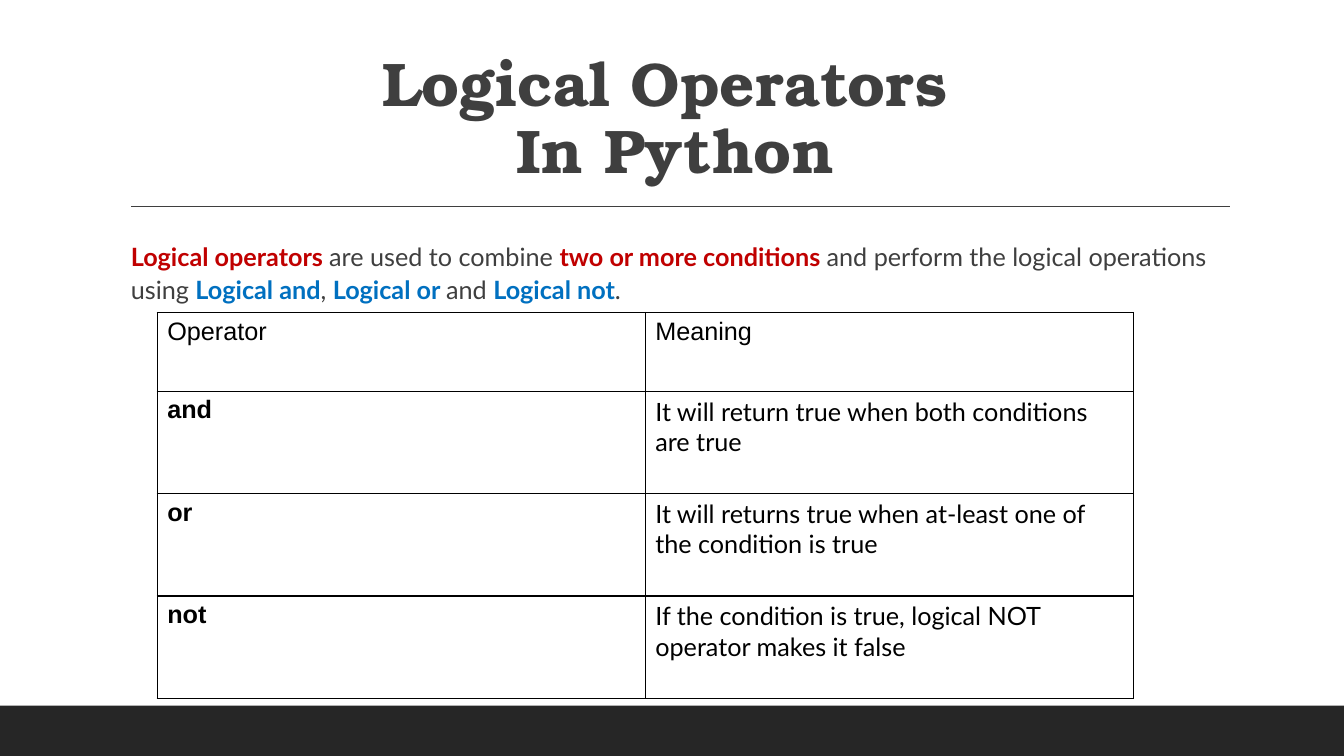
from lxml import etree
from pptx import Presentation, util as u
from pptx.dml.color import RGBColor
from pptx.enum import shapes, text
from pptx.oxml.ns import qn

Inches = u.Inches
DARK, GREY, RED, BLUE, BLACK = "262626", "3F3F3F", "C00000", "0070C0", "000000"
INTRO = [
    ("Logical operators ", RED),
    ("are used to combine ", GREY),
    ("two or more conditions ", RED),
    ("and perform the logical operations using ", GREY),
    ("Logical and", BLUE),
    (", ", GREY),
    ("Logical or ", BLUE),
    ("and ", GREY),
    ("Logical not", BLUE),
    (".", GREY),
]
OPERATORS = [
    ("Operator", "Meaning"),
    ("and", "It will return true when both conditions are true"),
    ("or", "It will returns true when at-least one of the condition is true"),
    ("not", "If the condition is true, logical NOT operator makes it false"),
]


def color(value):
    return RGBColor.from_string(value)


def write(paragraph, content, size=18, font="Lato", fill=BLACK, bold=False):
    """Append one formatted run to the paragraph."""
    run = paragraph.add_run()
    run.text = content
    run.font.size = u.Pt(size)
    run.font.name = font
    run.font.bold = bold
    run.font.color.rgb = color(fill)


def set_frame(frame, anchor):
    frame.word_wrap = True
    frame.auto_size = text.MSO_AUTO_SIZE.NONE
    frame.vertical_anchor = anchor
    frame.margin_left = frame.margin_right = Inches(0.1)
    frame.margin_top = frame.margin_bottom = Inches(0.05)


def add_footer_band(slide, left, top, width, height):
    band = slide.shapes.add_shape(
        shapes.MSO_SHAPE.RECTANGLE,
        Inches(left), Inches(top), Inches(width), Inches(height))
    band.shadow.inherit = False
    band.fill.solid()
    band.fill.fore_color.rgb = color(DARK)
    band.line.fill.background()


def add_title(slide, left, top, width, height):
    """Place the title and the rule that runs below it."""
    title = slide.shapes.title
    title.left, title.top = Inches(left), Inches(top)
    title.width, title.height = Inches(width), Inches(height)
    set_frame(title.text_frame, text.MSO_ANCHOR.BOTTOM)
    paragraph = title.text_frame.paragraphs[0]
    paragraph.alignment = text.PP_ALIGN.CENTER
    paragraph.line_spacing = 0.9
    style = dict(size=44, font="TeX Gyre Bonum", fill=GREY, bold=True)
    write(paragraph, "Logical Operators ", **style)
    paragraph.add_line_break()
    write(paragraph, "In Python", **style)

    rule_y = Inches(top + height + 0.15)
    rule = slide.shapes.add_connector(
        shapes.MSO_CONNECTOR.STRAIGHT,
        Inches(left + 0.1), rule_y, Inches(left + width), rule_y)
    rule.line.color.rgb = color(GREY)
    rule.line.width = u.Pt(1)
    etree.SubElement(rule._element.spPr, qn("a:effectLst"))


def add_intro(slide, left, top, width, height):
    box = slide.shapes.add_textbox(
        Inches(left), Inches(top), Inches(width), Inches(height))
    set_frame(box.text_frame, text.MSO_ANCHOR.TOP)
    box.text_frame.margin_right = 0
    paragraph = box.text_frame.paragraphs[0]
    paragraph.line_spacing = 1.1
    for content, fill in INTRO:
        write(paragraph, content, fill=fill, bold=fill != GREY)


def add_borders(cell):
    properties = cell._tc.get_or_add_tcPr()
    for side in ("lnL", "lnR", "lnT", "lnB"):
        line = etree.SubElement(properties, qn(f"a:{side}"), w=str(u.Pt(1)))
        fill = etree.SubElement(line, qn("a:solidFill"))
        etree.SubElement(fill, qn("a:srgbClr"), val=BLACK)


def add_operator_table(slide, left, top, width, height, header_height=0.78):
    rows, columns = len(OPERATORS), len(OPERATORS[0])
    table = slide.shapes.add_table(
        rows, columns,
        Inches(left), Inches(top), Inches(width), Inches(height)).table
    table.first_row = table.horz_banding = False
    row_height = (height - header_height) / (rows - 1)
    for r, values in enumerate(OPERATORS):
        table.rows[r].height = Inches(row_height if r else header_height)
        for c, content in enumerate(values):
            cell = table.cell(r, c)
            add_borders(cell)
            cell.fill.background()
            write(cell.text_frame.paragraphs[0], content,
                  font="Lato" if r and c else "Arial",
                  bold=r > 0 and c == 0)


def main():
    presentation = Presentation()
    presentation.slide_width = Inches(13.33)
    presentation.slide_height = Inches(7.5)
    slide = presentation.slides.add_slide(presentation.slide_layouts[5])
    add_footer_band(slide, 0, 7, 13.33, 0.5)
    add_title(slide, 1.2, 0.31, 11, 1.59)
    add_intro(slide, 1.2, 2.31, 11, 0.75)
    add_operator_table(slide, 1.56, 3.1, 9.68, 3.83)
    presentation.save("out.pptx")


if __name__ == "__main__":
    main()
